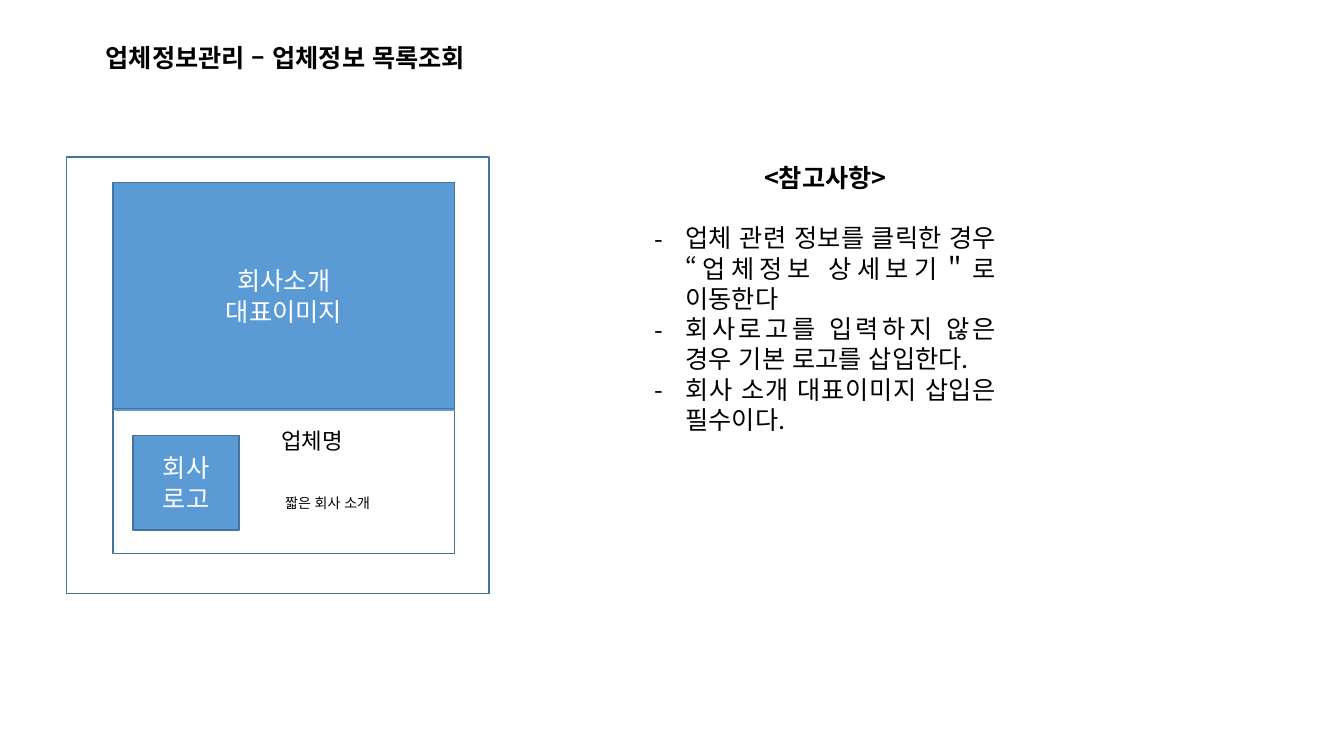
from lxml.etree import SubElement
from pptx import Presentation
from pptx.dml.color import RGBColor
from pptx.enum.lang import MSO_LANGUAGE_ID
from pptx.enum.shapes import MSO_CONNECTOR, MSO_SHAPE
from pptx.enum.text import MSO_ANCHOR, MSO_AUTO_SIZE, PP_ALIGN
from pptx.oxml.ns import qn
from pptx.util import Inches, Pt

FONT = "Noto Sans CJK KR"
BLUE, EDGE, WHITE, BLACK = "5B9BD5", "43739E", "FFFFFF", "000000"


def color(value):
    return RGBColor.from_string(value)


def write(box, text, size, ink, align):
    box.text_frame.word_wrap = True
    box.text_frame.text = text
    for para in box.text_frame.paragraphs:
        para.alignment = align
        for span in para.runs:
            span.font.size = Pt(size)
            span.font.name = FONT
            span.font.language_id = MSO_LANGUAGE_ID.KOREAN
            span.font.color.rgb = color(ink)
            # Hangul takes the East Asian typeface
            SubElement(span.font._element, qn("a:ea"), typeface=FONT)


deck = Presentation()
deck.slide_width, deck.slide_height = Inches(13.33), Inches(7.5)
slide = deck.slides.add_slide(deck.slide_layouts[6])

# Company card: frame, card, main image and logo
panels = [
    (0.66, 1.56, 4.19, 4.33, WHITE, ""),
    (1.12, 1.81, 3.39, 3.68, WHITE, ""),
    (1.12, 1.81, 3.39, 2.25, BLUE, "회사소개\n대표이미지"),
    (1.32, 4.32, 1.05, 0.94, BLUE, "회사\n로고"),
]
for left, top, width, height, fill, label in panels:
    panel = slide.shapes.add_shape(
        MSO_SHAPE.RECTANGLE, Inches(left), Inches(top), Inches(width), Inches(height))
    panel.shadow.inherit = False
    panel.fill.solid()
    panel.fill.fore_color.rgb = color(fill)
    panel.line.color.rgb = color(EDGE)
    panel.line.width = Pt(1)
    if label:
        panel.text_frame.vertical_anchor = MSO_ANCHOR.MIDDLE
        write(panel, label, 18, WHITE, PP_ALIGN.CENTER)

# Lower edge of the main image
divider = slide.shapes.add_connector(
    MSO_CONNECTOR.STRAIGHT, Inches(1.14), Inches(4.07), Inches(4.51), Inches(4.07))
divider.line.color.rgb = color(BLUE)
divider.line.width = Pt(1.5)
SubElement(divider._element.spPr, qn("a:effectLst"))

# Title, card captions and notes
notes_text = "\n".join([
    "<참고사항>",
    "업체 관련 정보를 클릭한 경우 “업체정보 상세보기＂로 이동한다",
    "회사로고를 입력하지 않은 경우 기본 로고를 삽입한다.",
    "회사 소개 대표이미지 삽입은 필수이다.",
])
texts = [
    (0.95, 0.37, 4.17, 0.4, 18, PP_ALIGN.LEFT, "업체정보관리 – 업체정보 목록조회"),
    (2.73, 4.86, 1.59, 0.77, 10, PP_ALIGN.LEFT, "짧은 회사 소개"),
    (2.69, 4.19, 1.65, 0.65, 16, PP_ALIGN.LEFT, "업체명"),
    (6.39, 1.56, 3.59, 2.83, 18, PP_ALIGN.JUSTIFY, notes_text),
]
boxes = []
for left, top, width, height, size, align, text in texts:
    box = slide.shapes.add_textbox(Inches(left), Inches(top), Inches(width), Inches(height))
    write(box, text, size, BLACK, align)
    box.text_frame.auto_size = MSO_AUTO_SIZE.SHAPE_TO_FIT_TEXT
    boxes.append(box)

# Bold title and notes heading, dashed notes
title, notes = boxes[0], boxes[-1]
heading, *items = notes.text_frame.paragraphs
for para in (title.text_frame.paragraphs[0], heading):
    para.runs[0].font.bold = True
heading.alignment = PP_ALIGN.CENTER
heading.space_after = Pt(21.6)
for para in items:
    properties = para._p.get_or_add_pPr()
    properties.set("marL", str(Inches(0.31)))
    properties.set("indent", str(-Inches(0.31)))
    SubElement(properties, qn("a:buFont"), typeface=FONT)
    SubElement(properties, qn("a:buChar"), char="-")

deck.save("out.pptx")
